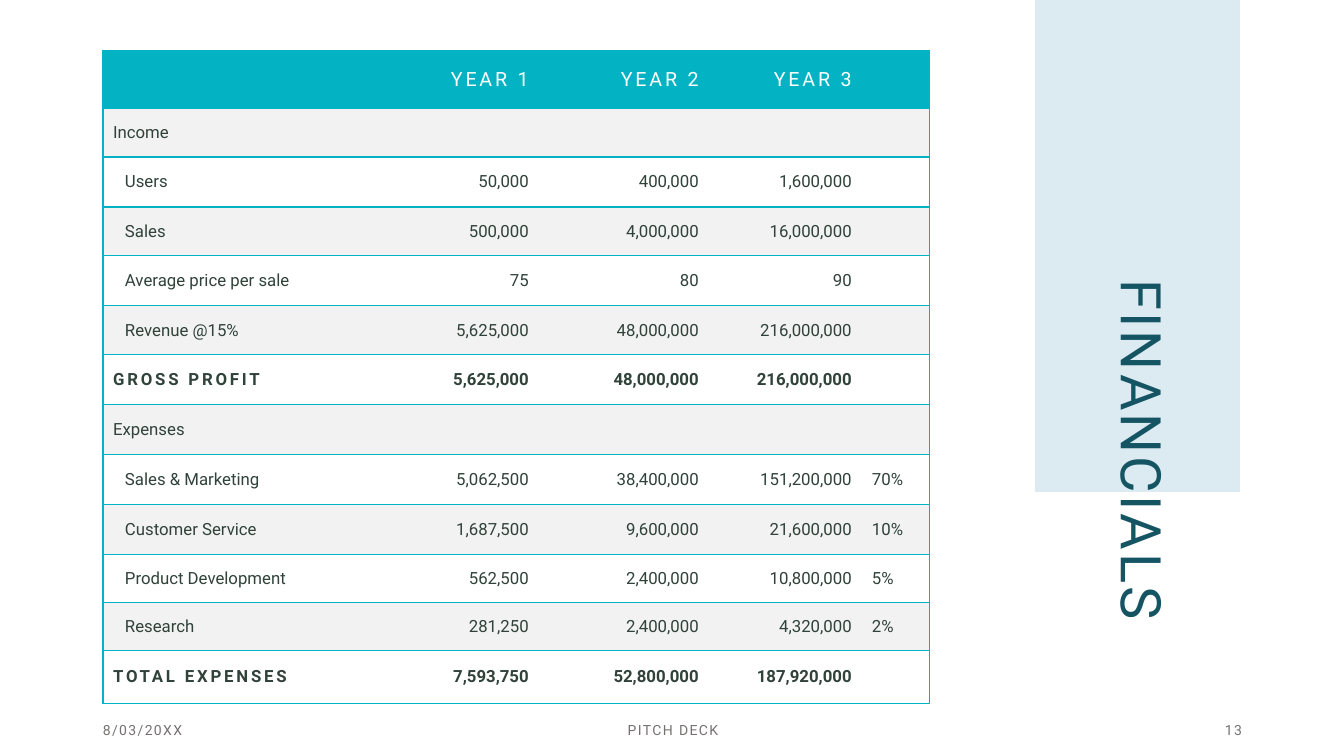
"""Build the Financials slide of a pitch deck."""
from pptx import Presentation
from pptx.dml.color import RGBColor
from pptx.enum.shapes import MSO_SHAPE
from pptx.enum.text import MSO_ANCHOR, PP_ALIGN
from pptx.oxml import parse_xml
from pptx.oxml.ns import nsdecls, qn
from pptx.util import Pt

PX = 914400 / 100.8
COLORS = {
    "teal": "04B3C3",
    "band": "F2F2F2",
    "white": "FFFFFF",
    "ink": "30423A",
    "panel": "DCEAF1",
    "title": "155463",
    "footer": "767171",
}
COLUMN_WIDTHS = [267, 169, 170, 153, 68]
ROW_HEIGHTS = [57, 49, 50, 49, 50, 49, 50, 50, 50, 50, 48, 48, 53]
ROWS = [
    ["", "YEAR 1", "YEAR 2", "YEAR 3", ""],
    ["Income", "", "", "", ""],
    ["Users", "50,000", "400,000", "1,600,000", ""],
    ["Sales", "500,000", "4,000,000", "16,000,000", ""],
    ["Average price per sale", "75", "80", "90", ""],
    ["Revenue @15%", "5,625,000", "48,000,000", "216,000,000", ""],
    ["GROSS PROFIT", "5,625,000", "48,000,000", "216,000,000", ""],
    ["Expenses", "", "", "", ""],
    ["Sales & Marketing", "5,062,500", "38,400,000", "151,200,000", "70%"],
    ["Customer Service", "1,687,500", "9,600,000", "21,600,000", "10%"],
    ["Product Development", "562,500", "2,400,000", "10,800,000", "5%"],
    ["Research", "281,250", "2,400,000", "4,320,000", "2%"],
    ["TOTAL EXPENSES", "7,593,750", "52,800,000", "187,920,000", ""],
]
SECTIONS = ("Income", "Expenses")
TOTALS = ("GROSS PROFIT", "TOTAL EXPENSES")
NO_STYLE = "{2D5ABB26-0587-4C30-8999-92F81FD0307C}"


def px(*lengths):
    return [round(length * PX) for length in lengths]


def write_text(frame, text, size=12, color="ink", align=PP_ALIGN.LEFT, bold=False, spacing=0):
    paragraph = frame.paragraphs[0]
    paragraph.alignment = align
    run = paragraph.add_run()
    run.text = text
    run.font.name = "Roboto"
    run.font.size = Pt(size)
    run.font.bold = bold
    run.font.color.rgb = RGBColor.from_string(COLORS[color])
    run.font._element.set("spc", str(spacing * 100))
    return run


presentation = Presentation()
presentation.slide_width, presentation.slide_height = px(1344, 756)
slide = presentation.slides.add_slide(presentation.slide_layouts[5])

title = slide.shapes.title
title.left, title.top, title.width, title.height = px(918, 433, 438, 110)
title.rotation = 90
title.text_frame.word_wrap = True
title.text_frame.vertical_anchor = MSO_ANCHOR.MIDDLE
title_run = write_text(title.text_frame, "FINANCIALS", size=40, color="title", spacing=2)
title.text_frame.paragraphs[0].line_spacing = 0.8
title_run.font.fill.background()
title_run.font._element.insert(0, parse_xml(
    f'<a:ln {nsdecls("a")} w="19050"><a:solidFill><a:srgbClr val="{COLORS["title"]}"/>'
    "</a:solidFill></a:ln>"))

panel = slide.shapes.add_shape(MSO_SHAPE.RECTANGLE, *px(1035, 0, 205, 492))
panel.shadow.inherit = False
panel.fill.solid()
panel.fill.fore_color.rgb = RGBColor.from_string(COLORS["panel"])
panel.line.fill.background()
title.element.addprevious(panel.element)

table_frame = slide.shapes.add_table(
    len(ROWS), len(COLUMN_WIDTHS), *px(103, 51, sum(COLUMN_WIDTHS), sum(ROW_HEIGHTS)))
table_frame.element.find(".//" + qn("a:tableStyleId")).text = NO_STYLE
table = table_frame.table
table.horz_banding = False
for column, width in zip(table.columns, px(*COLUMN_WIDTHS)):
    column.width = width
for row, height in zip(table.rows, px(*ROW_HEIGHTS)):
    row.height = height

last_column = len(COLUMN_WIDTHS) - 1
for row_index, values in enumerate(ROWS):
    header = row_index == 0
    label = values[0]
    total = label in TOTALS
    fill = "teal" if header else "band" if row_index % 2 else "white"
    for column_index, value in enumerate(values):
        cell = table.cell(row_index, column_index)
        cell.vertical_anchor = MSO_ANCHOR.MIDDLE
        sides = {"L": column_index == 0, "R": column_index == last_column, "T": True, "B": True}
        for side, visible in sides.items():
            if visible:
                cell._tc.get_or_add_tcPr().append(parse_xml(
                    f'<a:ln{side} {nsdecls("a")} w="12700"><a:solidFill>'
                    f'<a:srgbClr val="{COLORS["teal"]}"/></a:solidFill></a:ln{side}>'))
        cell.fill.solid()
        cell.fill.fore_color.rgb = RGBColor.from_string(COLORS[fill])
        if column_index == 0 and label not in SECTIONS + TOTALS:
            cell.margin_left = px(22)[0]
        if value:
            write_text(
                cell.text_frame, value,
                size=14 if header else 12,
                color="white" if header else "ink",
                align=PP_ALIGN.RIGHT if 0 < column_index < last_column else PP_ALIGN.LEFT,
                bold=total,
                spacing=2 if header or (total and column_index == 0) else 0)

for text, left, width, align in [
    ("8/03/20XX", 93, 302, PP_ALIGN.LEFT),
    ("PITCH DECK", 446, 454, PP_ALIGN.CENTER),
    ("13", 950, 302, PP_ALIGN.RIGHT),
]:
    footer = slide.shapes.add_textbox(*px(left, 719, width, 22))
    footer.text_frame.word_wrap = True
    footer.text_frame.vertical_anchor = MSO_ANCHOR.MIDDLE
    write_text(footer.text_frame, text, size=10, color="footer", align=align, spacing=1)

presentation.save("out.pptx")
